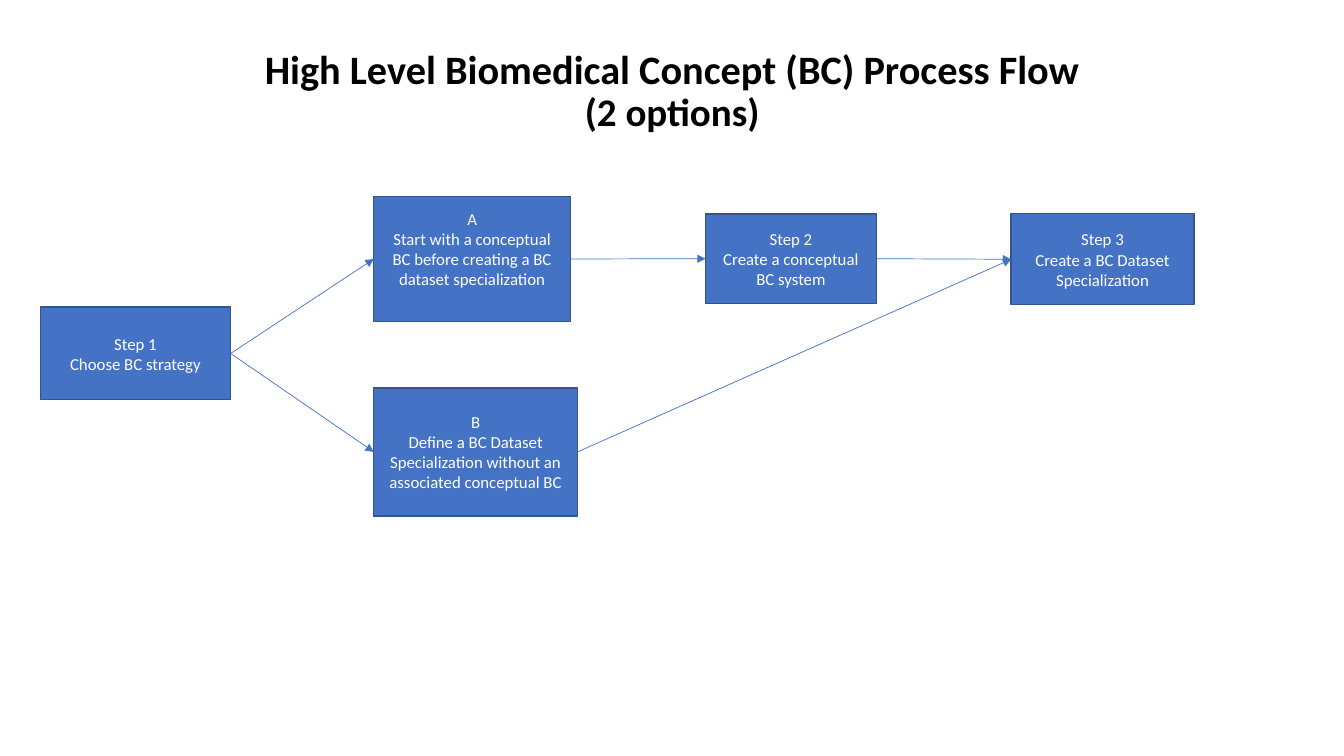
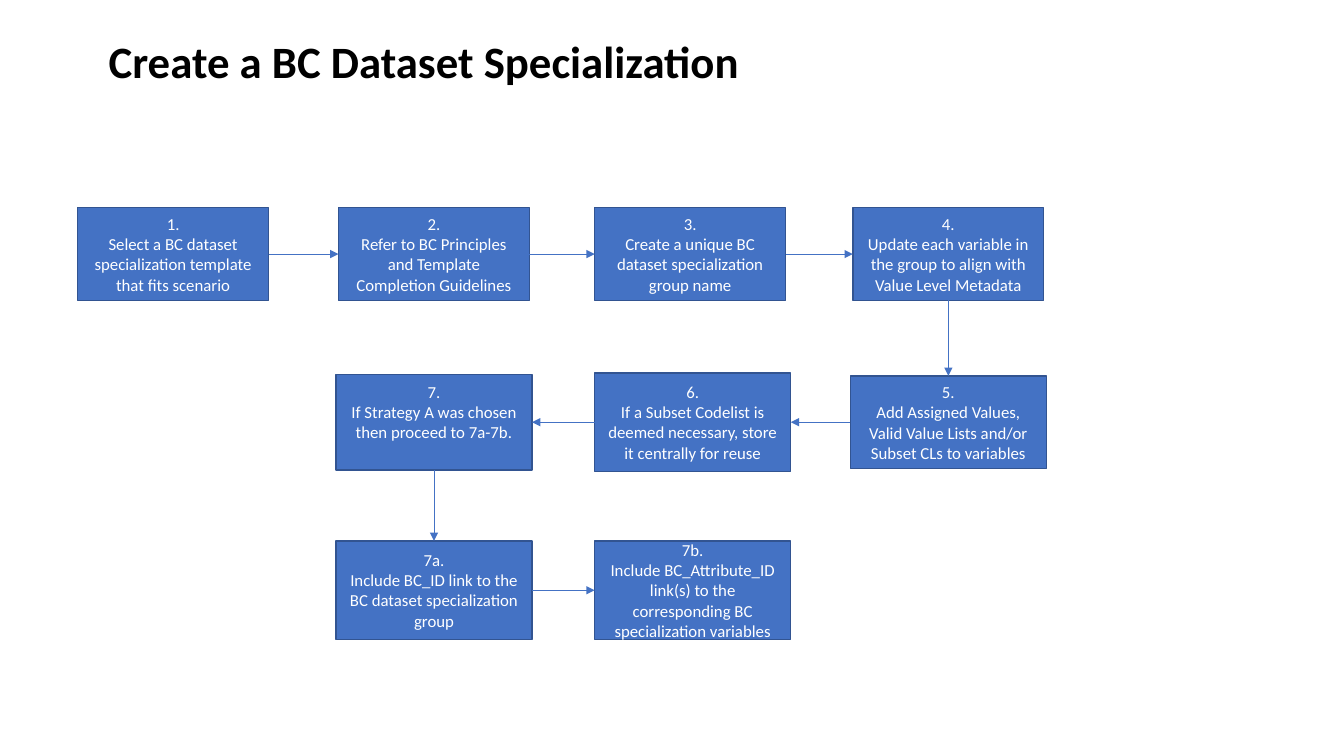
import pptx
import pptx.util
import pptx.dml.color
import pptx.enum.shapes
import pptx.enum.text
import pptx.oxml.ns
import lxml.etree

Pt = pptx.util.Pt
ALIGN = pptx.enum.text.PP_ALIGN
MIDDLE = pptx.enum.text.MSO_ANCHOR.MIDDLE
RECT = pptx.enum.shapes.MSO_SHAPE.RECTANGLE
STRAIGHT = pptx.enum.shapes.MSO_CONNECTOR.STRAIGHT
qn = pptx.oxml.ns.qn

FONT = "Calibri"
BLUE, EDGE, WHITE, BLACK = "4472C4", "325491", "FFFFFF", "000000"
TOP, LEFT, BOTTOM, RIGHT = range(4)
LINE_HEIGHT = 14.4
ROWS = 181.5, 301.6, 421.6


def rgb(value):
    return pptx.dml.color.RGBColor.from_string(value)


def add_run(p, text, size, color, bold=False):
    r = p.add_run()
    r.text = text
    r.font.name = FONT
    r.font.size = Pt(size)
    r.font.bold = bold
    r.font.color.rgb = rgb(color)


# name: left, middle, width, height, text, lines left free below
slides = [
    {
        "title": [("High Level Biomedical Concept (BC) Process Flow", 28.8), ("(2 options)", 27.9)],
        "title_at": (66.2, 28.8),
        "align": ALIGN.CENTER,
        "boxes": {
            "Step 1": (28.8, 252.5, 136, 66.2, "Choose BC strategy", 0),
            "A": (267, 185, 140.5, 89.5, "Start with a conceptual BC before creating a BC dataset specialization", 1),
            "B": (267, 322.8, 145.5, 91.5, "Define a BC Dataset Specialization without an associated conceptual BC", 0),
            "Step 2": (504, 184.8, 122, 64, "Create a conceptual BC system", 0),
            "Step 3": (722.3, 185.2, 130.5, 65, "Create a BC Dataset Specialization", 0),
        },
        "links": [
            ("Step 1", RIGHT, "A", LEFT),
            ("Step 2", RIGHT, "Step 3", LEFT),
            ("A", RIGHT, "Step 2", LEFT),
            ("Step 1", RIGHT, "B", LEFT),
            ("B", RIGHT, "Step 3", LEFT),
        ],
    },
    {
        "title": [("Create a BC Dataset Specialization", 32)],
        "title_at": (70.5, 8.6),
        "align": ALIGN.LEFT,
        "boxes": {
            "1.": (55.5, ROWS[0], 136.4, 66.2, "Select a BC dataset specialization template that fits scenario", 0),
            "2.": (241.8, ROWS[0], 136.4, 66.2, "Refer to BC Principles and Template Completion Guidelines", 0),
            "3.": (424.8, ROWS[0], 136.4, 66.2, "Create a unique BC dataset specialization group name", 0),
            "4.": (609.2, ROWS[0], 136.4, 66.2, "Update each variable in the group to align with Value Level Metadata", 0),
            "5.": (607.4, ROWS[1], 140, 66.2, "Add Assigned Values, Valid Value Lists and/or Subset CLs to variables", 0),
            "6.": (424.8, ROWS[1], 140, 70.4, "If a Subset Codelist is deemed necessary, store it centrally for reuse", 0),
            "7.": (240, ROWS[1], 140, 68.4, "If Strategy A was chosen then proceed to 7a-7b.", 1),
            "7a.": (240, ROWS[2], 140, 70.4, "Include BC_ID link to the BC dataset specialization group", 0),
            "7b.": (424.8, ROWS[2], 140, 70.4, "Include BC_Attribute_ID link(s) to the corresponding BC specialization variables", 0),
        },
        "links": [
            ("1.", RIGHT, "2.", LEFT),
            ("2.", RIGHT, "3.", LEFT),
            ("3.", RIGHT, "4.", LEFT),
            ("4.", BOTTOM, "5.", TOP),
            ("5.", LEFT, "6.", RIGHT),
            ("6.", LEFT, "7.", RIGHT),
            ("7.", BOTTOM, "7a.", TOP),
            ("7a.", RIGHT, "7b.", LEFT),
        ],
    },
]

prs = pptx.Presentation()
prs.slide_width, prs.slide_height = Pt(960), Pt(540)

for content in slides:
    s = prs.slides.add_slide(prs.slide_layouts[6])

    left, top = content["title_at"]
    tf = s.shapes.add_textbox(Pt(left), Pt(top), Pt(828), Pt(74)).text_frame
    tf.word_wrap = True
    tf.vertical_anchor = MIDDLE
    p = tf.paragraphs[0]
    p.alignment = content["align"]
    p.line_spacing = 0.9
    for i, (text, size) in enumerate(content["title"]):
        if i:
            p.add_line_break()
        add_run(p, text, size, BLACK, True)

    boxes = {}
    for name, (left, middle, width, height, text, free) in content["boxes"].items():
        sp = s.shapes.add_shape(RECT, Pt(left), Pt(middle - height / 2), Pt(width), Pt(height))
        sp.shadow.inherit = False
        sp.fill.solid()
        sp.fill.fore_color.rgb = rgb(BLUE)
        sp.line.color.rgb = rgb(EDGE)
        sp.line.width = Pt(1)
        tf = sp.text_frame
        tf.word_wrap = True
        tf.vertical_anchor = MIDDLE
        tf.margin_bottom = Pt(3.6 + free * LINE_HEIGHT)
        for i, line in enumerate((name, text)):
            p = tf.add_paragraph() if i else tf.paragraphs[0]
            p.alignment = ALIGN.CENTER
            add_run(p, line, 12, WHITE)
        boxes[name] = sp

    for start, start_side, end, end_side in content["links"]:
        cn = s.shapes.add_connector(STRAIGHT, 0, 0, 0, 0)
        cn.begin_connect(boxes[start], start_side)
        cn.end_connect(boxes[end], end_side)
        cn.line.color.rgb = rgb(BLUE)
        cn.line.width = Pt(0.5)
        ln = cn.line._get_or_add_ln()
        lxml.etree.SubElement(ln, qn("a:tailEnd"), type="triangle")
        lxml.etree.SubElement(cn._element.spPr, qn("a:effectLst"))

prs.save("out.pptx")
